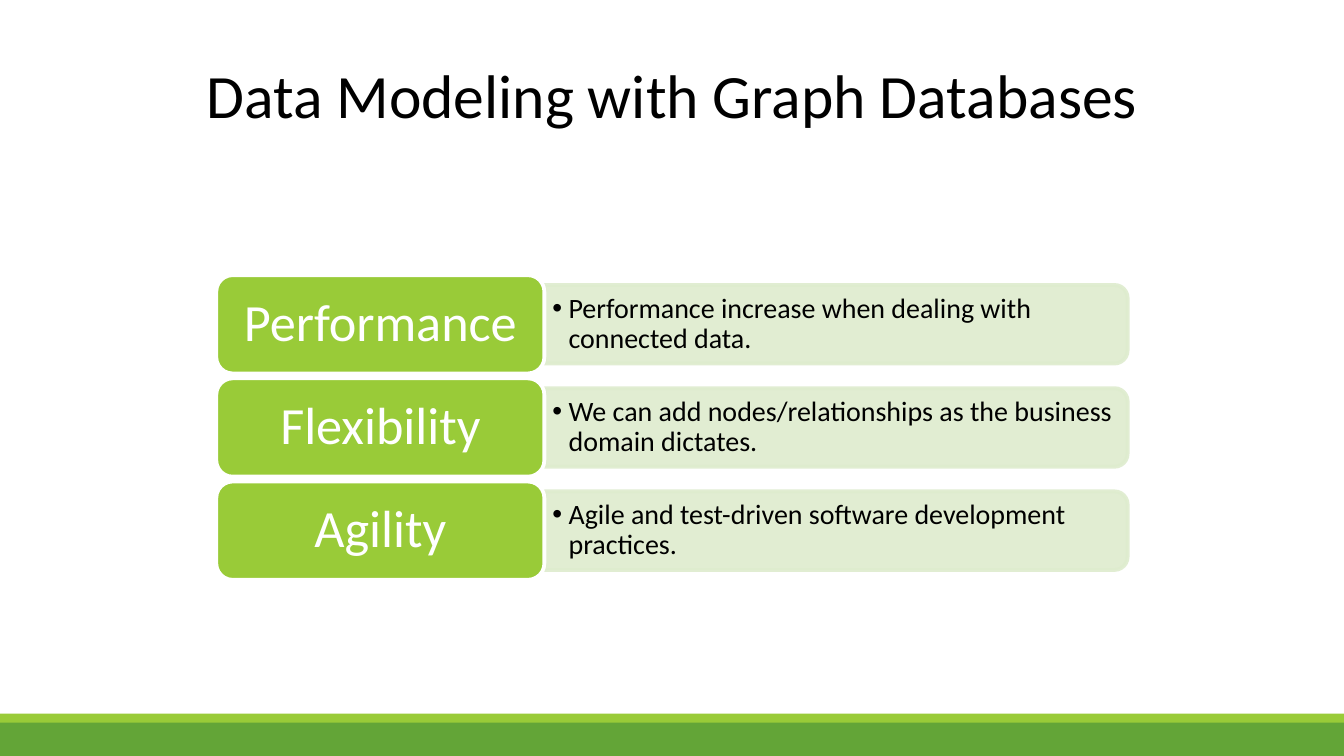
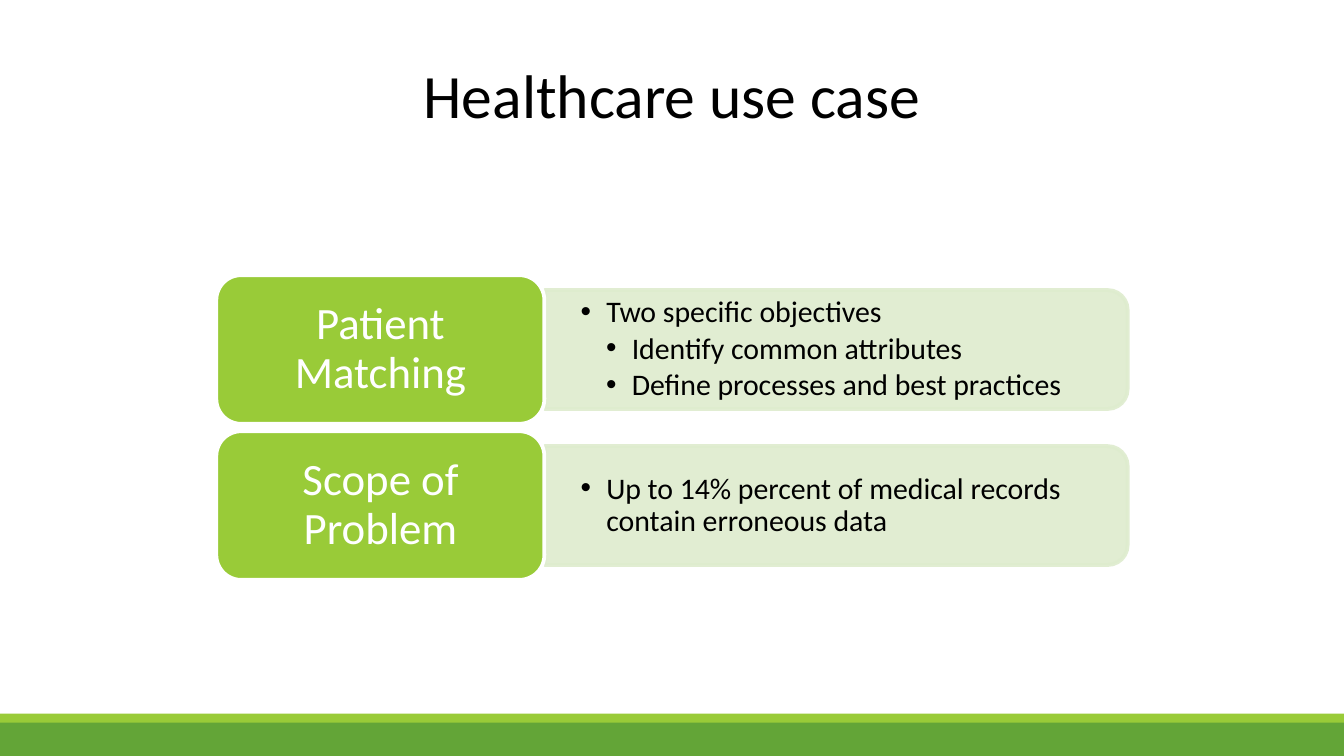
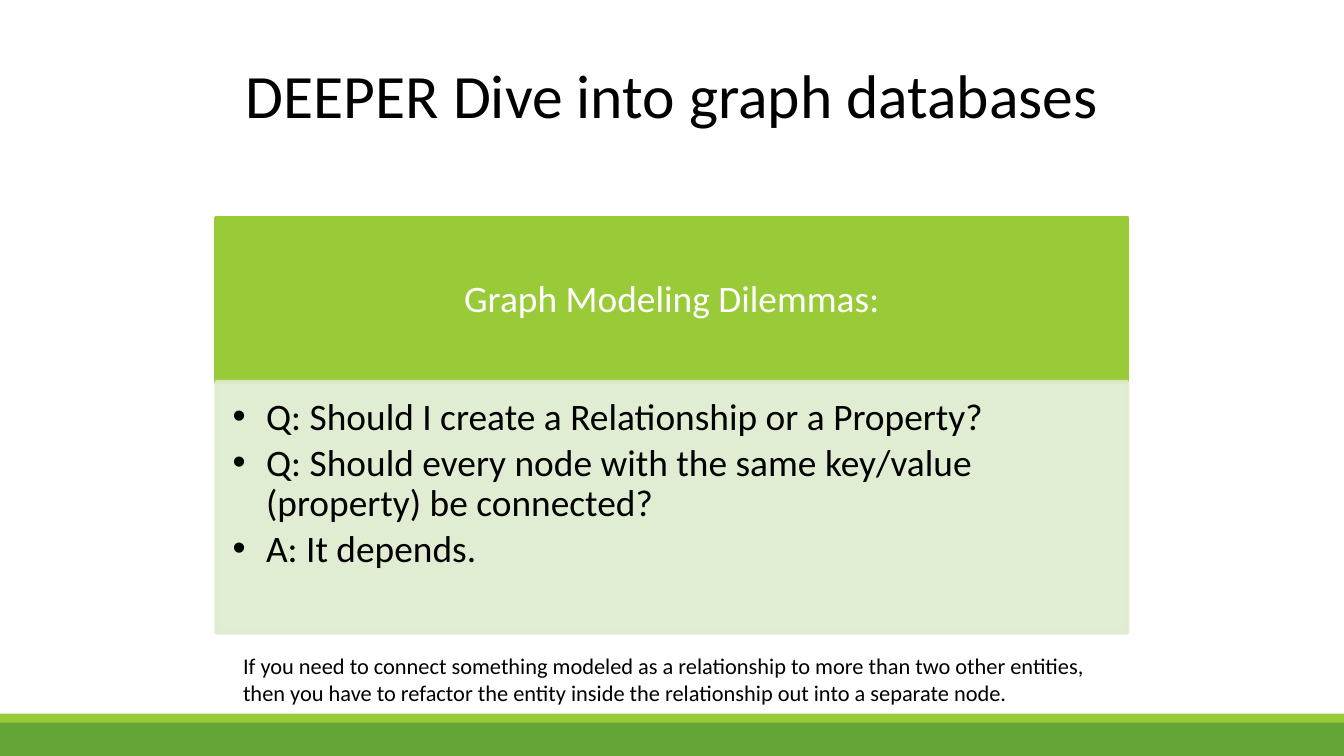
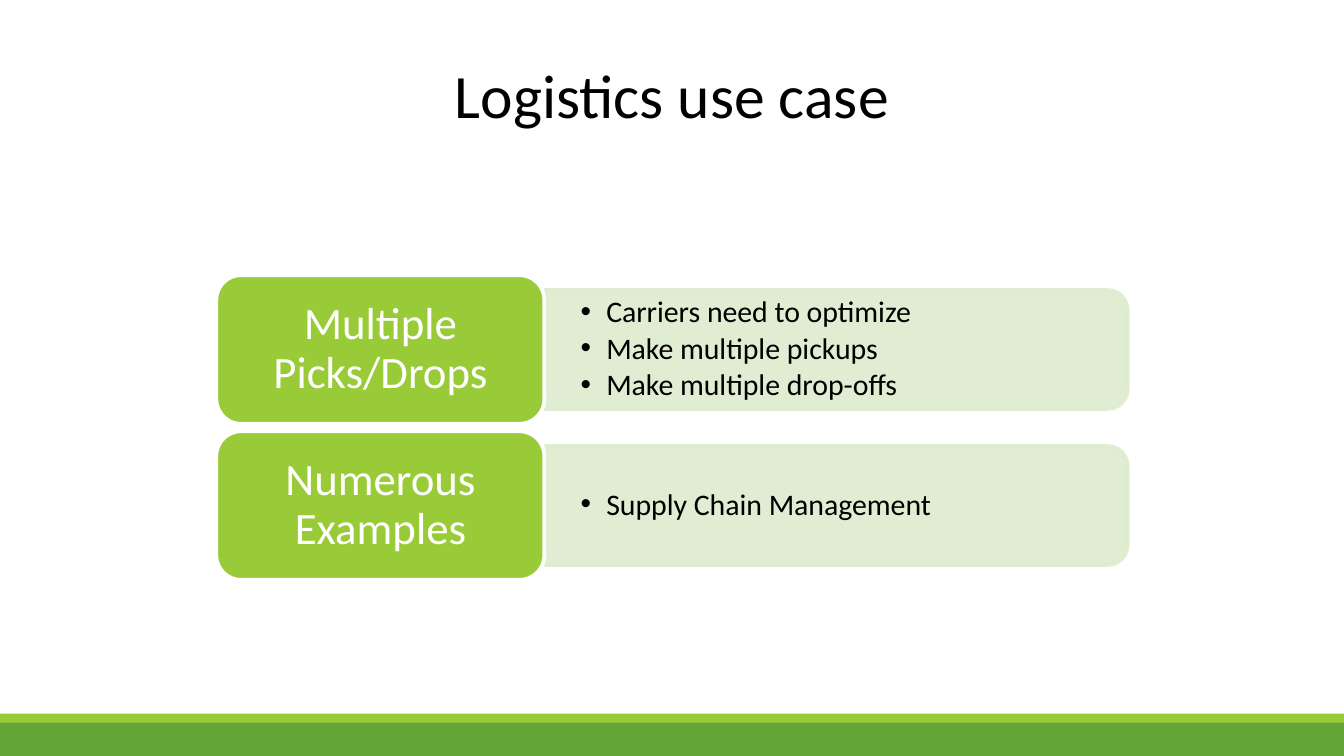
from dataclasses import dataclass

from lxml.etree import SubElement
from pptx import Presentation
from pptx.dml.color import RGBColor
from pptx.enum.shapes import MSO_SHAPE
from pptx.enum.text import MSO_ANCHOR, MSO_AUTO_SIZE, PP_ALIGN
from pptx.oxml.ns import qn
from pptx.util import Inches, Pt


@dataclass(frozen=True)
class Theme:
    font: str = "Calibri"
    black: str = "000000"
    white: str = "FFFFFF"
    lime: str = "99CB38"
    green: str = "63A537"
    pale: str = "DEECCE"
    title_size: int = 33
    banner_size: int = 20
    caption_size: int = 12
    border: int = 2


theme = Theme()

# Page and a grid of 100 columns by 100 rows
presentation = Presentation()
presentation.slide_width = Inches(10)
presentation.slide_height = presentation.slide_width * 9 // 16
COLUMN = presentation.slide_width / 100
ROW = presentation.slide_height / 100
ROW_IN_COLUMNS = ROW / COLUMN


def add_box(slide, kind, box, fill, line=None, opacity=None, turned=False):
    """Draw a filled shape; a turned one is rotated a quarter inside its box."""
    left, top, width, height = box[0] * COLUMN, box[1] * ROW, box[2] * COLUMN, box[3] * ROW
    if turned:
        left, top = left + (width - height) / 2, top + (height - width) / 2
        width, height = height, width
    shape = slide.shapes.add_shape(kind, int(left), int(top), int(width), int(height))
    shape.shadow.inherit = False
    shape.rotation = 90 if turned else 0
    shape.fill.solid()
    shape.fill.fore_color.rgb = RGBColor.from_string(fill)
    if line:
        shape.line.width = Pt(theme.border)
        shape.line.color.rgb = RGBColor.from_string(line)
    else:
        shape.line.fill.background()
    if opacity:
        for color in list(shape._element.spPr.iter(qn("a:srgbClr"))):
            SubElement(color, qn("a:alpha"), val=str(opacity * 1000))


def add_text(slide, text, box, size, color=theme.black, align=PP_ALIGN.LEFT,
             anchor=MSO_ANCHOR.MIDDLE, insets=(0.1, 0.05, 0.1, 0.05), spacing=None,
             after=0, indent=0, levels=(), wrap=True):
    """Write each line of text as a paragraph; an indent in inches adds bullets."""
    shape = slide.shapes.add_textbox(int(box[0] * COLUMN), int(box[1] * ROW),
                                     int(box[2] * COLUMN), int(box[3] * ROW))
    frame = shape.text_frame
    frame.word_wrap = wrap
    frame.auto_size = MSO_AUTO_SIZE.NONE if wrap else MSO_AUTO_SIZE.SHAPE_TO_FIT_TEXT
    frame.vertical_anchor = anchor
    (frame.margin_left, frame.margin_top,
     frame.margin_right, frame.margin_bottom) = map(Inches, insets)
    for index, line in enumerate(text.split("\n")):
        paragraph = frame.paragraphs[0] if index == 0 else frame.add_paragraph()
        if indent:
            level = levels[index] if levels else 1
            properties = paragraph._p.get_or_add_pPr()
            properties.set("marL", str(Inches(indent * level)))
            properties.set("indent", str(-Inches(indent)))
            SubElement(properties, qn("a:buFont"), typeface="Arial")
            SubElement(properties, qn("a:buChar"), char="•")
            paragraph.level = level
        paragraph.alignment = align
        if spacing:
            paragraph.line_spacing = spacing
        if after:
            paragraph.space_after = Pt(size * after)
        run = paragraph.add_run()
        run.text = line
        run.font.name = theme.font
        run.font.size = Pt(size)
        run.font.color.rgb = RGBColor.from_string(color)


# Formats shared by headings and bullet lists
heading = dict(color=theme.white, align=PP_ALIGN.CENTER, spacing=0.9, after=0.35)
bullets = dict(spacing=0.9, after=0.15)

# Label and panel formats: three narrow rows, or two tall ones
narrow = (dict(size=28, insets=(0.12, 0.06, 0.12, 0.06)),
          dict(size=15, indent=0.12, insets=(0.06, 0.03, 0.06, 0.03)))
tall = (dict(size=24), dict(size=16, indent=0.19, insets=(0.27, 0.14, 0.27, 0.14)))

# Slide content: title, formats, and rows of label, bullet lines, bullet levels
slides = [
    ("Data Modeling with Graph Databases", narrow, [
        ("Performance", "Performance increase when dealing with connected data.", ()),
        ("Flexibility", "We can add nodes/relationships as the business domain dictates.", ()),
        ("Agility", "Agile and test-driven software development practices.", ()),
    ]),
    ("Healthcare use case", tall, [
        ("Patient Matching",
         "Two specific objectives\nIdentify common attributes\nDefine processes and best practices",
         (1, 2, 2)),
        ("Scope of Problem", "Up to 14% percent of medical records contain erroneous data", ()),
    ]),
    ("DEEPER Dive into graph databases", None, []),
    ("Logistics use case", tall, [
        ("Multiple Picks/Drops",
         "Carriers need to optimize\nMake multiple pickups\nMake multiple drop-offs", ()),
        ("Numerous Examples", "Supply Chain Management", ()),
    ]),
]

# Diagram area on the grid
LEFT, WIDTH = 16.1, 67.8
TOP, HEIGHT = 36.4, 40.3
LABEL_WIDTH = WIDTH * 0.36
PANEL_LEFT, PANEL_WIDTH = LEFT + LABEL_WIDTH, WIDTH - LABEL_WIDTH
GAP_SHARE = 0.05     # gap between rows, as a share of a label's height
PANEL_SHARE = 0.8    # panel height, as a share of a label's height
CORNER_SHARE = 0.05  # text inset that clears a rounded corner

for title, formats, rows in slides:
    slide = presentation.slides.add_slide(presentation.slide_layouts[6])

    # Footer bands and title
    add_box(slide, MSO_SHAPE.RECTANGLE, (0, 95.5, 100, 4.5), theme.green)
    add_box(slide, MSO_SHAPE.RECTANGLE, (0, 94.4, 100, 1.2), theme.lime)
    add_text(slide, title, (5, 4.1, 90, 16.7), theme.title_size, align=PP_ALIGN.CENTER)

    # Rows of a label with its panel
    if rows:
        label_format, panel_format = formats
        label_height = HEIGHT / (len(rows) + (len(rows) - 1) * GAP_SHARE)
        panel_height = label_height * PANEL_SHARE
        corner, panel_corner = label_height * CORNER_SHARE, panel_height * CORNER_SHARE
    for index, (label, lines, levels) in enumerate(rows):
        top = TOP + index * label_height * (1 + GAP_SHARE)
        panel_top = top + (label_height - panel_height) / 2
        add_box(slide, MSO_SHAPE.ROUND_2_SAME_RECTANGLE,
                (PANEL_LEFT, panel_top, PANEL_WIDTH, panel_height),
                theme.pale, line=theme.pale, opacity=90, turned=True)
        add_text(slide, lines,
                 (PANEL_LEFT, panel_top + panel_corner,
                  PANEL_WIDTH - panel_corner * ROW_IN_COLUMNS, panel_height - 2 * panel_corner),
                 levels=levels, **bullets, **panel_format)
        add_box(slide, MSO_SHAPE.ROUNDED_RECTANGLE, (LEFT, top, LABEL_WIDTH, label_height),
                theme.lime, line=theme.white)
        add_text(slide, label,
                 (LEFT + corner * ROW_IN_COLUMNS, top + corner,
                  LABEL_WIDTH - 2 * corner * ROW_IN_COLUMNS, label_height - 2 * corner),
                 **heading, **label_format)

    # Banner above a list of questions, with a caption below
    if not rows:
        banner = (LEFT, 28.8, WIDTH, 21.8)
        questions = (LEFT, 50.5, WIDTH, 33.2)
        add_box(slide, MSO_SHAPE.RECTANGLE, banner, theme.lime, line=theme.lime)
        add_text(slide, "Graph Modeling Dilemmas:", banner, theme.banner_size,
                 insets=(0.16, 0.09, 0.16, 0.09), **heading)
        add_box(slide, MSO_SHAPE.RECTANGLE, questions, theme.pale, line=theme.pale, opacity=90)
        add_text(slide,
                 "Q: Should I create a Relationship or a Property?\n"
                 "Q: Should every node with the same key/value (property) be connected?\n"
                 "A: It depends.",
                 questions, theme.banner_size, anchor=MSO_ANCHOR.TOP, indent=0.25,
                 insets=(0.12, 0.12, 0.16, 0.17), **bullets)
        add_text(slide,
                 "If you need to connect something modeled as a relationship"
                 " to more than two other entities,\n"
                 "then you have to refactor the entity inside the relationship"
                 " out into a separate node.",
                 (17.1, 85.4, 65.8, 8.9), theme.caption_size,
                 anchor=MSO_ANCHOR.TOP, wrap=False)

presentation.save("out.pptx")
